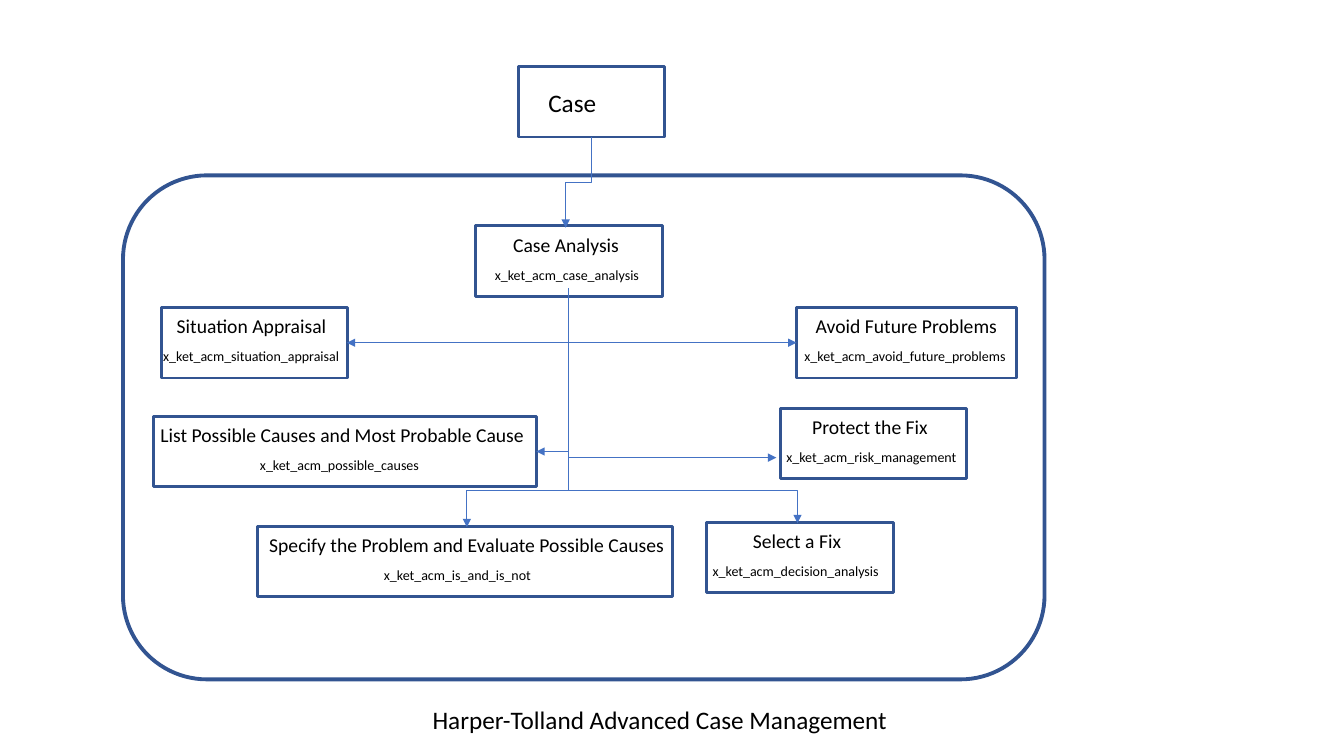
from collections import namedtuple
from pptx import Presentation
from pptx.dml.color import RGBColor
from pptx.enum.shapes import MSO_CONNECTOR as Line, MSO_SHAPE as Shape
from pptx.enum.text import MSO_ANCHOR as Anchor, MSO_AUTO_SIZE as Fit, PP_ALIGN as Align
from pptx.oxml.ns import qn
from pptx.util import Emu, Pt
from lxml.etree import SubElement

PX = 9144
NAVY = RGBColor(0x32, 0x54, 0x91)
BLUE = RGBColor(0x44, 0x72, 0xC4)
BLACK = RGBColor(0, 0, 0)
FONT = "Calibri"
TITLE_ONLY = 5

Box = namedtuple("Box", "left top width height")
Span = namedtuple("Span", "shift width")

FRAME = Box(122, 174, 914, 500)
CASE = Box(514, 66, 145, 70)
CAPTION = Box(419, 694, 517, 40)
TRUNK = 564
BOX_HEIGHT = 70

STEPS = [
    (472, 224, 185, "Case Analysis", Span(26, 127), "x_ket_acm_case_analysis", Span(9, 166)),
    (160, 305, 185, "Situation Appraisal", Span(4, 171), "x_ket_acm_situation_appraisal", Span(-8, 199)),
    (152, 413, 380, "List Possible Causes and Most Probable Cause", Span(-5, 385),
     "x_ket_acm_possible_causes", Span(96, 182)),
    (255, 522, 412, "Specify the Problem and Evaluate Possible Causes", Span(0, 416),
     "x_ket_acm_is_and_is_not", Span(116, 170)),
    (701, 518, 185, "Select a Fix", Span(35, 109), "x_ket_acm_decision_analysis", Span(-4, 189)),
    (774, 405, 185, "Protect the Fix", Span(21, 136), "x_ket_acm_risk_management", Span(-4, 192)),
    (790, 305, 218, "Avoid Future Problems", Span(8, 202), "x_ket_acm_avoid_future_problems", Span(-2, 225)),
]

ARROWS = [
    ((587, 136), (561, 226), 0.5),
    ((TRUNK, 295), (344, 340), None),
    ((TRUNK, 295), (532, 448), None),
    ((TRUNK, 286), (463, 523), 0.846),
    ((TRUNK, 295), (791, 519), 0.855),
    ((TRUNK, 295), (770, 454), None),
    ((TRUNK, 295), (790, 340), None),
]


def emu(box):
    """Turn a box in px into EMU lengths."""
    return [Emu(round(length * PX)) for length in box]


def write(frame, text, size, align=Align.LEFT, wrap=True):
    """Fill a text frame with one formatted paragraph."""
    frame.text = text
    frame.word_wrap = wrap
    frame.auto_size = Fit.SHAPE_TO_FIT_TEXT
    frame.vertical_anchor = Anchor.TOP
    para = frame.paragraphs[0]
    para.alignment = align
    font = para.runs[0].font
    font.name, font.size, font.color.rgb = FONT, Pt(size), BLACK


def add_label(page, box, text, size, align=Align.LEFT, wrap=True):
    """Place a text box."""
    write(page.shapes.add_textbox(*emu(box)).text_frame, text, size, align, wrap)


def add_outline(page, box, kind=Shape.RECTANGLE, weight=2):
    """Draw an unfilled navy outline."""
    shape = page.shapes.add_shape(kind, *emu(box))
    shape.shadow.inherit = False
    shape.fill.background()
    shape.line.color.rgb = NAVY
    shape.line.width = Pt(weight)


def add_step(page, box, title, title_span, table, table_span):
    """Draw a process box with its title and table name."""
    add_outline(page, box)
    add_label(page, Box(box.left + title_span.shift, box.top + 2, title_span.width, 34),
              title, 14, Align.CENTER, False)
    add_label(page, Box(box.left + table_span.shift, box.top + 35, table_span.width, 27),
              table, 10, wrap=False)


def add_arrow(page, start, end, bend):
    """Draw an elbow arrow that leaves downwards, with one turn or a bend between two."""
    length, spread = end[1] - start[1], abs(end[0] - start[0])
    left = (start[0] + end[0] - length) / 2
    top = (start[1] + end[1] - spread) / 2
    arrow = page.shapes.add_connector(
        Line.ELBOW, *emu((left, top, left + length, top + spread)))
    arrow.line.color.rgb = BLUE
    arrow.line.width = Pt(0.5)
    properties = arrow._element.spPr
    frame = properties.find(qn("a:xfrm"))
    if end[0] < start[0]:
        frame.set("rot", "5400000")
    else:
        frame.set("rot", "16200000")
        frame.set("flipH", "1")
    geometry = properties.find(qn("a:prstGeom"))
    if bend is None:
        geometry.set("prst", "bentConnector2")
    else:
        SubElement(geometry.find(qn("a:avLst")), qn("a:gd"),
                   name="adj1", fmla=f"val {round(bend * 100000)}")
    SubElement(properties.find(qn("a:ln")), qn("a:tailEnd"), type="triangle")
    SubElement(properties, qn("a:effectLst"))


def add_case(page, box):
    """Draw the starting case box."""
    add_outline(page, box)
    add_label(page, Box(box.left + 20, box.top + 16, 90, 40), "Case", 18)


def add_caption(page, box):
    """Move the title placeholder below the diagram."""
    title = page.shapes.title
    title.left, title.top, title.width, title.height = emu(box)
    write(title.text_frame, "Harper-Tolland Advanced Case Management", 18)


def add_diagram(page, box):
    """Draw the frame, its steps and the arrows."""
    add_outline(page, box, Shape.ROUNDED_RECTANGLE, 2.75)
    add_case(page, CASE)
    for left, top, width, *texts in STEPS:
        add_step(page, Box(left, top, width, BOX_HEIGHT), *texts)
    for start, end, bend in ARROWS:
        add_arrow(page, start, end, bend)


def main():
    """Build and save the deck."""
    deck = Presentation()
    deck.slide_width, deck.slide_height = emu((1333, 750))
    page = deck.slides.add_slide(deck.slide_layouts[TITLE_ONLY])
    add_diagram(page, FRAME)
    add_caption(page, CAPTION)
    deck.save("out.pptx")


if __name__ == "__main__":
    main()
